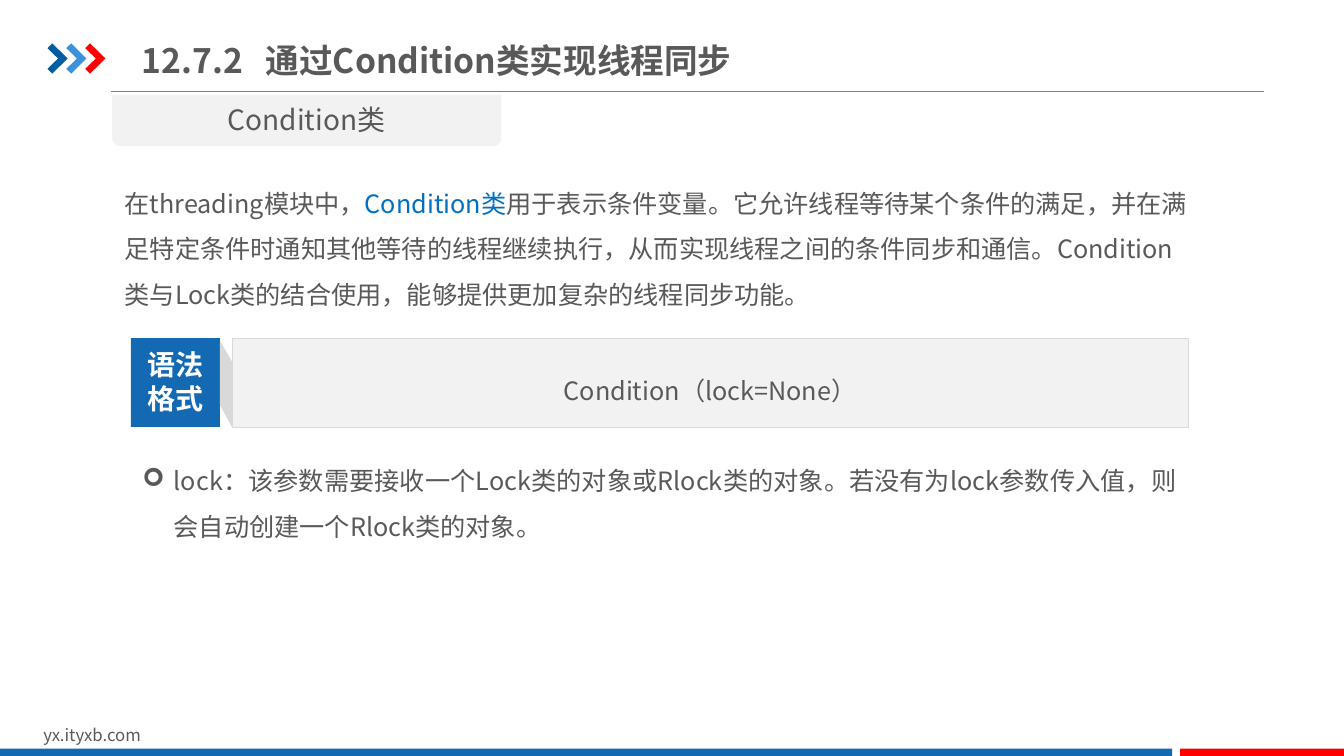
from lxml import etree
from pptx import Presentation
from pptx.dml.color import RGBColor
from pptx.enum.shapes import MSO_CONNECTOR, MSO_SHAPE
from pptx.enum.text import MSO_ANCHOR, PP_ALIGN
from pptx.oxml.ns import qn
from pptx.util import Pt

RECT, TAB_SHAPE = MSO_SHAPE.RECTANGLE, MSO_SHAPE.ROUND_2_SAME_RECTANGLE
STRAIGHT = MSO_CONNECTOR.STRAIGHT
TOP, MIDDLE = MSO_ANCHOR.TOP, MSO_ANCHOR.MIDDLE
LEFT, CENTER, JUSTIFY = PP_ALIGN.LEFT, PP_ALIGN.CENTER, PP_ALIGN.JUSTIFY

THEME = {
    "font": "Noto Sans CJK SC",
    "text": "595959", "accent": "0070C0", "white": "FFFFFF",
    "blue": "1369B2", "red": "FF0000", "rule": "808080",
    "panel": "F2F2F2", "edge": "D9D9D9",
    "chevrons": ["005DA2", "3992DB", "FF0000"],
    "title": 24, "label": 20, "body": 18, "footer": 12,
}


def paint(shape, fill):
    """Give a shape a flat fill with no outline or shadow."""
    shape.shadow.inherit = False
    shape.fill.solid()
    shape.fill.fore_color.rgb = RGBColor.from_string(THEME[fill] if fill in THEME else fill)
    shape.line.fill.background()


def write(shape, lines, size, bold=False, align=LEFT, spacing=1.0, anchor=TOP, wrap=True):
    """Write lines of (text, colour) runs and return the first paragraph."""
    frame = shape.text_frame
    frame.word_wrap = wrap
    frame.vertical_anchor = anchor
    for number, runs in enumerate(lines):
        paragraph = frame.add_paragraph() if number else frame.paragraphs[0]
        paragraph.alignment = align
        paragraph.line_spacing = spacing
        for text, colour in runs:
            run = paragraph.add_run()
            run.text = text
            run.font.size = Pt(THEME[size])
            run.font.bold = bold
            run.font.color.rgb = RGBColor.from_string(THEME[colour])
            run.font.name = THEME["font"]
            east_asian = etree.Element(qn("a:ea"), typeface=THEME["font"])
            run.font._element.find(qn("a:latin")).addnext(east_asian)
    return frame.paragraphs[0]


prs = Presentation()
prs.slide_width, prs.slide_height = Pt(960), Pt(540)
shapes = prs.slides.add_slide(prs.slide_layouts[6]).shapes

# Header rule and chevrons
header_rule = shapes.add_connector(STRAIGHT, Pt(79.2), Pt(65.5), Pt(903), Pt(65.5))
header_rule.line.color.rgb = RGBColor.from_string(THEME["rule"])
header_rule.line.width = Pt(0.75)
etree.SubElement(header_rule._element.spPr, qn("a:effectLst"))

CHEVRON = [(0, 3.4), (3.5, 0), (14.4, 10.8), (3.5, 21.6), (0, 18.2), (7.6, 10.8)]
for column, colour in enumerate(THEME["chevrons"]):
    points = [(Pt(33.9 + 13.5 * column + x), Pt(31 + y)) for x, y in CHEVRON]
    outline = shapes.build_freeform(*points[0])
    outline.add_line_segments(points[1:])
    paint(outline.convert_to_shape(), colour)

# Title: the tab stop sets the gap after the section number
title = shapes.add_textbox(Pt(94.3), Pt(20.9), Pt(456.5), Pt(43.9))
heading = write(title, [[("12.7.2\t通过Condition类实现线程同步", "text")]],
                "title", bold=True, anchor=MIDDLE)
tab_stops = etree.SubElement(heading._p.get_or_add_pPr(), qn("a:tabLst"))
etree.SubElement(tab_stops, qn("a:tab"), pos=str(Pt(88.5)), algn="l")

# Footer
site = shapes.add_textbox(Pt(23.8), Pt(514), Pt(229), Pt(21.8))
write(site, [[("yx.ityxb.com", "text")]], "footer")
for left, width, colour in [(0, 837.2, "blue"), (843, 117, "red")]:
    paint(shapes.add_shape(RECT, Pt(left), Pt(534.8), Pt(width), Pt(6.2)), colour)

# Topic tab under the rule
topic_tab = shapes.add_shape(TAB_SHAPE, Pt(80), Pt(67.7), Pt(278.2), Pt(36.7))
topic_tab.rotation = 180
paint(topic_tab, "panel")
topic = shapes.add_textbox(Pt(80), Pt(69.8), Pt(278.2), Pt(31.5))
write(topic, [[("Condition类", "text")]], "label", align=CENTER)

# Explanation
explanation = shapes.add_textbox(Pt(82), Pt(120.2), Pt(779.8), Pt(105))
write(explanation, [[
    ("在threading模块中，", "text"),
    ("Condition类", "accent"),
    ("用于表示条件变量。它允许线程等待某个条件的满足，并在满足特定条件时通知其他等待的线程继续执行，"
     "从而实现线程之间的条件同步和通信。Condition类与Lock类的结合使用，"
     "能够提供更加复杂的线程同步功能。", "text"),
]], "body", spacing=1.5)

# Syntax panel with its label and fold
syntax = shapes.add_shape(RECT, Pt(165.8), Pt(241.5), Pt(682.9), Pt(63.7))
paint(syntax, "panel")
syntax.line.color.rgb = RGBColor.from_string(THEME["edge"])
syntax.line.width = Pt(0.25)
write(syntax, [[("Condition（lock=None）", "text")]], "body",
      align=CENTER, spacing=1.5, anchor=MIDDLE)

paint(shapes.add_shape(RECT, Pt(93.6), Pt(241.5), Pt(63.5), Pt(63.5)), "blue")
syntax_label = shapes.add_textbox(Pt(97.9), Pt(244.8), Pt(54.9), Pt(55.7))
write(syntax_label, [[("语法", "white")], [("格式", "white")]], "label",
      bold=True, align=CENTER, wrap=False)

fold = shapes.build_freeform(Pt(165.8), Pt(258.5))
fold.add_line_segments([(Pt(165.8), Pt(305.2)), (Pt(157.1), Pt(289.5)), (Pt(157.1), Pt(243.4))])
paint(fold.convert_to_shape(), "edge")

# Parameter note
parameter = shapes.add_textbox(Pt(92.2), Pt(316.8), Pt(757.4), Pt(74.9))
note = parameter.text_frame
note.margin_left = note.margin_right = Pt(9.4)
note.margin_top = note.margin_bottom = Pt(5)
item = write(parameter, [[
    ("lock：该参数需要接收一个Lock类的对象或Rlock类的对象。若没有为lock参数传入值，"
     "则会自动创建一个Rlock类的对象。", "text"),
]], "body", align=JUSTIFY, spacing=1.5)
item_format = item._p.get_or_add_pPr()
item_format.set("marL", str(Pt(22.5)))
item_format.set("indent", str(Pt(-22.5)))
etree.SubElement(item_format, qn("a:buFont"), typeface="Wingdings")
etree.SubElement(item_format, qn("a:buChar"), char="➢")

prs.save("out.pptx")
